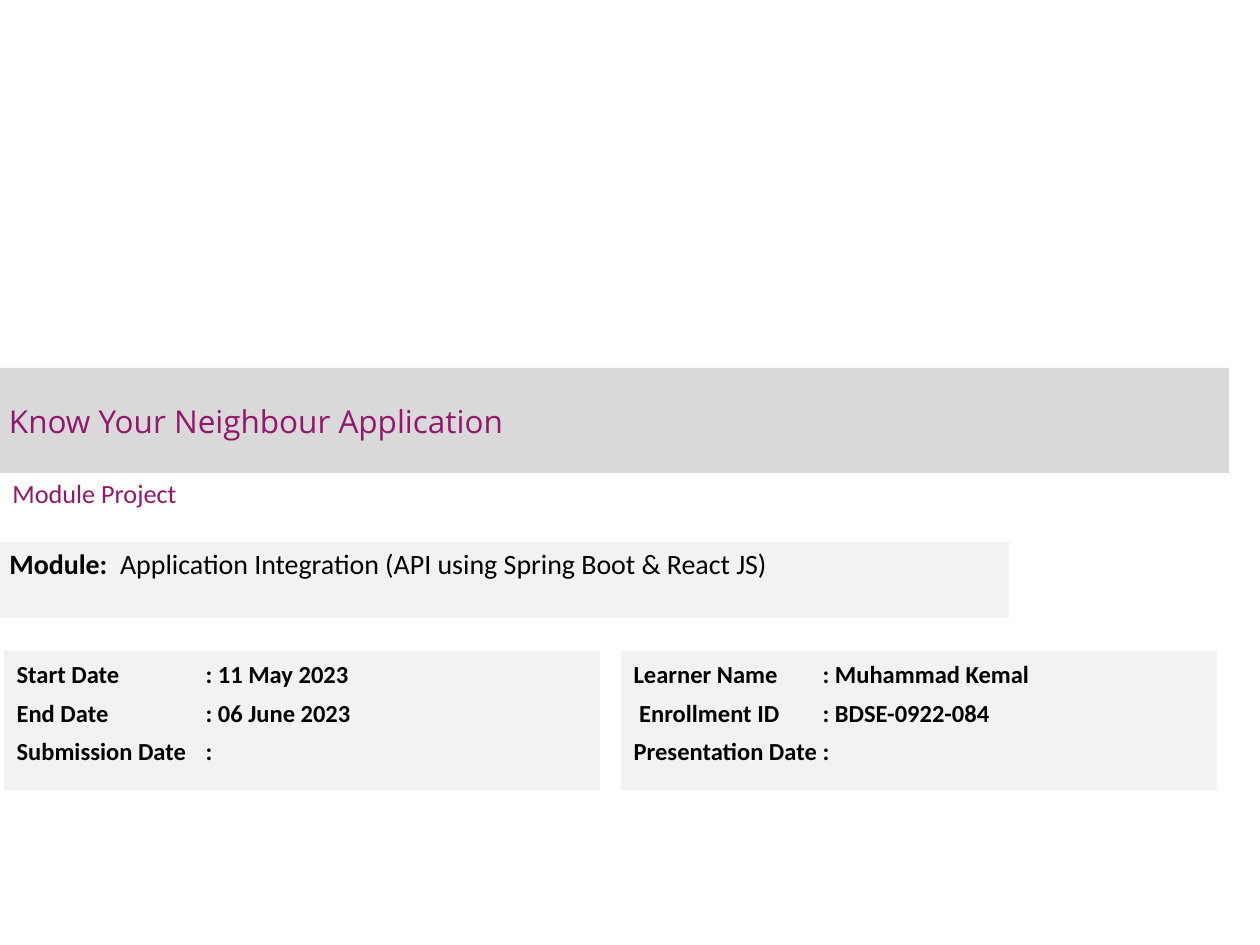
from dataclasses import dataclass

from lxml import etree
from pptx import Presentation
from pptx.dml.color import RGBColor
from pptx.enum.text import MSO_ANCHOR, MSO_AUTO_SIZE, PP_ALIGN
from pptx.oxml.ns import qn
from pptx.util import Pt

PIXEL = 914400 / 126
LEFT = PP_ALIGN.LEFT
TOP = MSO_ANCHOR.TOP
MIDDLE = MSO_ANCHOR.MIDDLE
NO_AUTOFIT = MSO_AUTO_SIZE.NONE
TWO_CONTENT_LAYOUT = 3
TAB_STOPS = (126, 189)

TITLE_BOX = (0, 368, 1229, 105)
SUBTITLE_BOX = (0, 454, 809, 78)
MODULE_BOX = (-3, 542, 1012, 76)
DETAIL_BOX = (4, 651, 596, 139)
DETAIL_PITCH = 617

DETAILS = (
    ("Start Date\t\t: 11 May 2023", "End Date\t\t: 06 June 2023", "Submission Date\t:"),
    ("Learner Name\t: Muhammad Kemal", " Enrollment ID\t: BDSE-0922-084", "Presentation Date\t:"),
)


@dataclass(frozen=True)
class Theme:
    """Colours, fonts and type sizes of the slide."""

    accent: RGBColor = RGBColor(0x93, 0x17, 0x6C)
    ink: RGBColor = RGBColor(0, 0, 0)
    band: RGBColor = RGBColor(0xD9, 0xD9, 0xD9)
    panel: RGBColor = RGBColor(0xF2, 0xF2, 0xF2)
    title_font: str = "Open Sans"
    body_font: str = "Calibri"
    title_size: int = 18
    subtitle_size: int = 15
    module_size: int = 16
    detail_size: int = 14


THEME = Theme()


def px(length):
    """Turn pixels into EMU."""
    return round(length * PIXEL)


def place(shape, box, anchor, fill=None):
    """Set the box, fill and text anchor of a shape."""
    shape.left, shape.top, shape.width, shape.height = map(px, box)
    if fill is not None:
        shape.fill.solid()
        shape.fill.fore_color.rgb = fill
    frame = shape.text_frame
    frame.word_wrap = True
    frame.auto_size = NO_AUTOFIT
    frame.vertical_anchor = anchor
    return frame


def style_run(run, font, size, color, bold=False):
    """Format one run."""
    run.font.name = font
    run.font.size = Pt(size)
    run.font.color.rgb = color
    run.font.bold = bold


def space_lines(paragraph):
    """Give a panel paragraph its fixed line pitch."""
    paragraph.alignment = LEFT
    paragraph.line_spacing = Pt(18)
    paragraph.space_before = paragraph.space_after = Pt(2)


def clear_bullet(paragraph):
    """Remove the bullet and indent and set the tab stops."""
    properties = paragraph._p.get_or_add_pPr()
    properties.set("marL", "0")
    properties.set("indent", "0")
    etree.SubElement(properties, qn("a:buNone"))
    tabs = etree.SubElement(properties, qn("a:tabLst"))
    for stop in TAB_STOPS:
        etree.SubElement(tabs, qn("a:tab"), pos=str(px(stop)), algn="l")


def fill_title(title, box):
    """Write the title band."""
    frame = place(title, box, MIDDLE, THEME.band)
    frame.margin_left = frame.margin_right = px(9)
    frame.margin_top = frame.margin_bottom = px(5)
    frame.text = "Know Your Neighbour Application"
    paragraph = frame.paragraphs[0]
    paragraph.alignment = LEFT
    style_run(paragraph.runs[0], THEME.title_font, THEME.title_size, THEME.accent)


def add_subtitle(slide, box):
    """Add the line under the title band."""
    frame = place(slide.shapes.add_textbox(0, 0, 0, 0), box, MIDDLE)
    frame.text = "Module Project"
    style_run(frame.paragraphs[0].runs[0], THEME.body_font, THEME.subtitle_size, THEME.accent)


def add_module(slide, box):
    """Add the module panel with its bold label."""
    frame = place(slide.shapes.add_textbox(0, 0, 0, 0), box, TOP, THEME.panel)
    paragraph = frame.paragraphs[0]
    space_lines(paragraph)
    parts = (
        ("Module:  ", True),
        ("Application Integration (API using Spring Boot & React JS)", False),
    )
    for text, bold in parts:
        run = paragraph.add_run()
        run.text = text
        style_run(run, THEME.body_font, THEME.module_size, THEME.ink, bold)


def fill_details(body, box, lines):
    """Write one panel of labelled details."""
    frame = place(body, box, TOP, THEME.panel)
    frame.text = "\n".join(lines)
    for paragraph in frame.paragraphs:
        space_lines(paragraph)
        clear_bullet(paragraph)
        style_run(paragraph.runs[0], THEME.body_font, THEME.detail_size, THEME.ink, True)


def main():
    """Build and save the slide."""
    presentation = Presentation()
    presentation.slide_width = px(1260)
    presentation.slide_height = px(945)
    slide = presentation.slides.add_slide(presentation.slide_layouts[TWO_CONTENT_LAYOUT])
    fill_title(slide.shapes.title, TITLE_BOX)
    add_subtitle(slide, SUBTITLE_BOX)
    add_module(slide, MODULE_BOX)
    left, top, width, height = DETAIL_BOX
    for index, lines in enumerate(DETAILS):
        box = (left + index * DETAIL_PITCH, top, width, height)
        fill_details(slide.placeholders[index + 1], box, lines)
    presentation.save("out.pptx")


if __name__ == "__main__":
    main()
